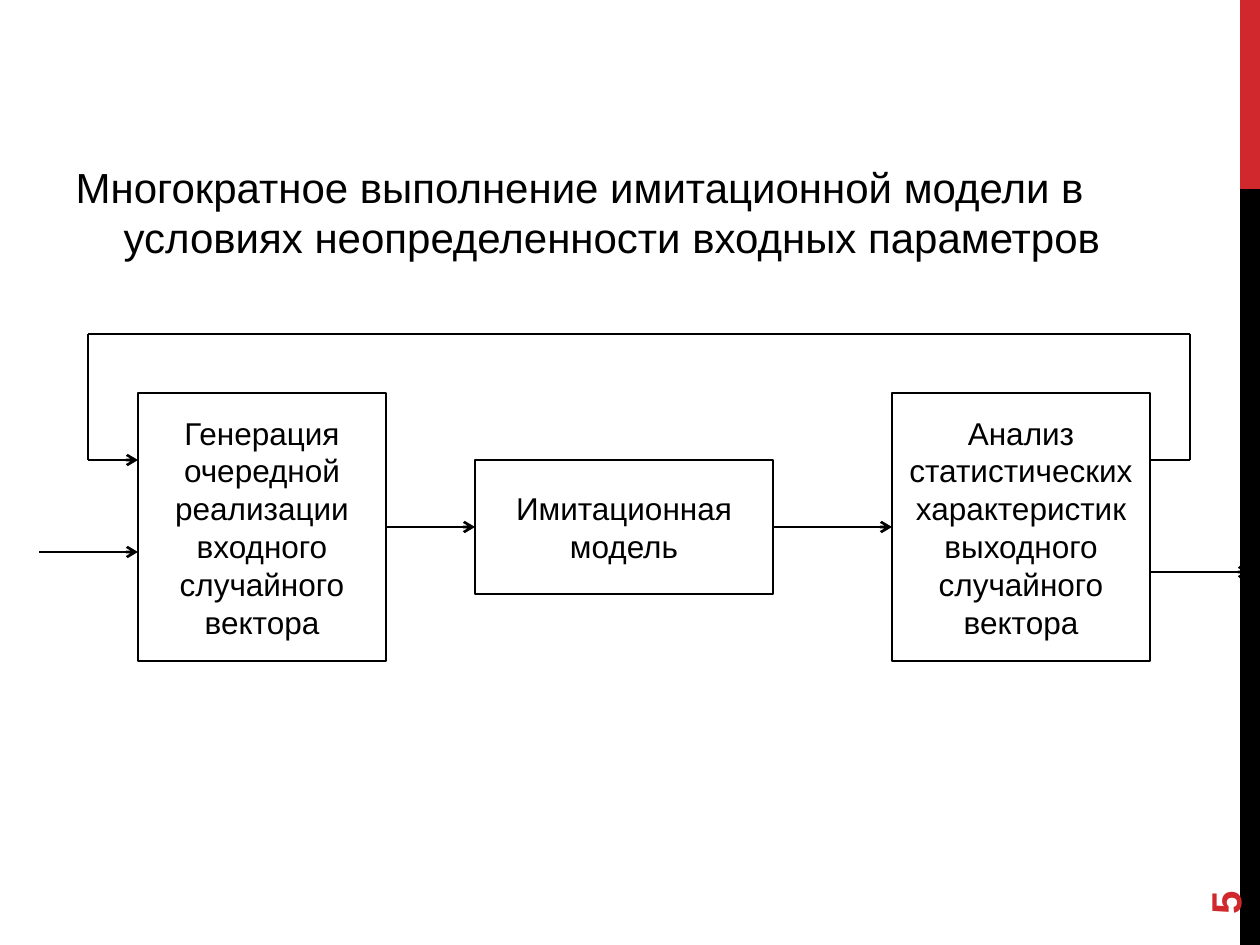
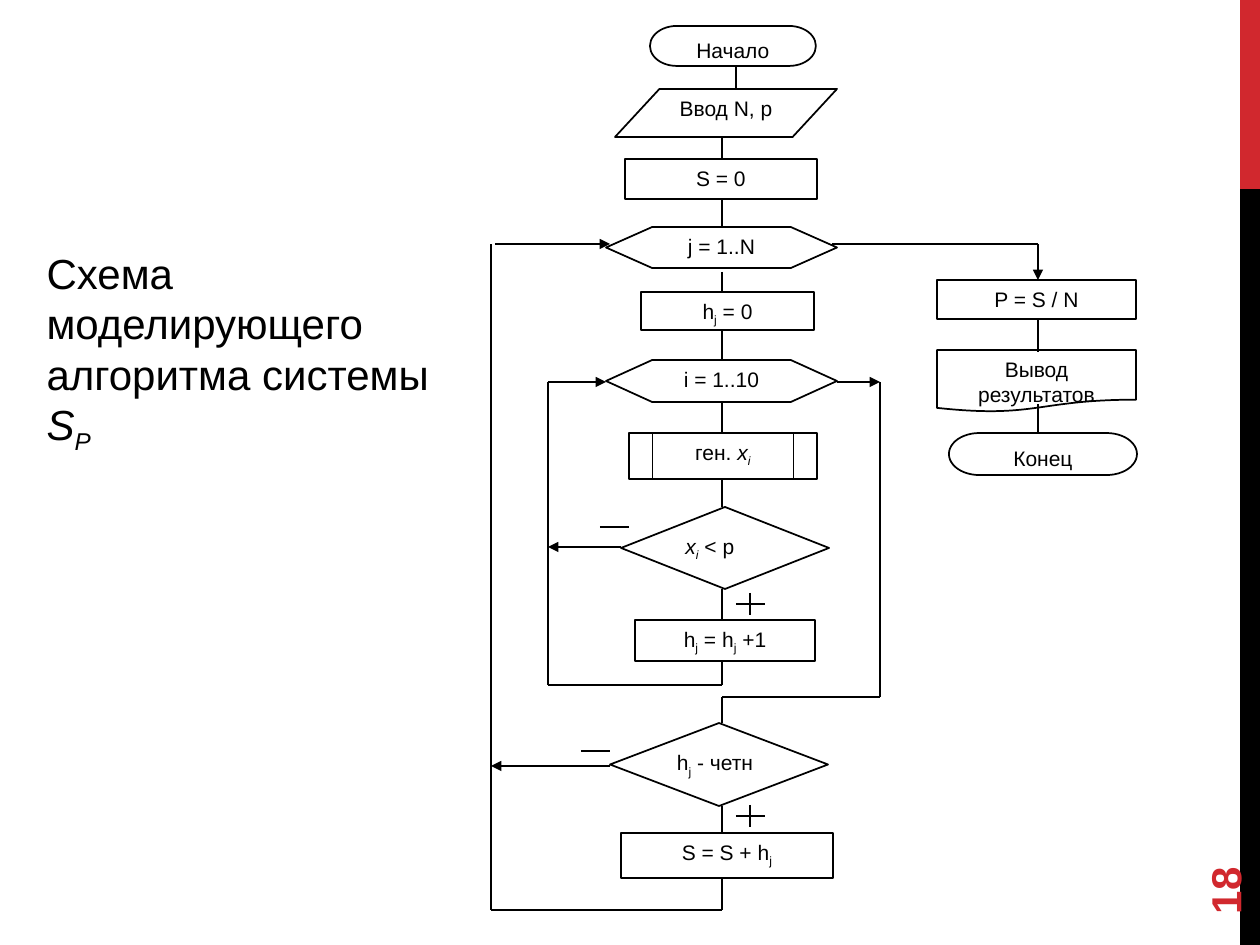
"""Build two slides on simulation modelling: a repeated-run scheme and a flowchart."""
from dataclasses import dataclass

from lxml.etree import SubElement
from pptx import Presentation
from pptx.dml.color import RGBColor
from pptx.enum.shapes import MSO_CONNECTOR, MSO_SHAPE
from pptx.enum.text import MSO_ANCHOR, MSO_AUTO_SIZE, PP_ALIGN
from pptx.oxml.ns import qn
from pptx.util import Emu, Pt


@dataclass(frozen=True)
class Theme:
    font: str = "Arial"
    ink: RGBColor = RGBColor(0x00, 0x00, 0x00)
    paper: RGBColor = RGBColor(0xFF, 0xFF, 0xFF)
    accent: RGBColor = RGBColor(0xD1, 0x28, 0x2E)
    title_size: int = 24
    scheme_size: int = 18
    flowchart_size: int = 12


theme = Theme()
EMU_PER_PX = 914400 / 126


def px(*lengths):
    return [Emu(round(length * EMU_PER_PX)) for length in lengths]


def write_runs(paragraph, runs, size, color=theme.ink, bold=False):
    for text, style in runs:
        run = paragraph.add_run()
        run.text = text
        run.font.name = theme.font
        run.font.size = Pt(size)
        run.font.color.rgb = color
        run.font.bold = bold
        run.font.italic = "italic" in style
        if "sub" in style:
            run._r.get_or_add_rPr().set("baseline", "-25000")


H_J = [("h", ""), ("j", "sub")]
X_I = [("x", "italic"), ("i", "italic sub")]
CENTER, LEFT = PP_ALIGN.CENTER, PP_ALIGN.LEFT
SPINE = 722
OUTPUT_AXIS = 1038

scheme = {
    "number": "5",
    "title": [[("Многократное выполнение имитационной модели в условиях "
                "неопределенности входных параметров", "")]],
    "title_at": (63, 155, 1113, 725),
    "title_anchor": MSO_ANCHOR.TOP,
    "title_indent": 48,
    "title_space": 4.8,
    "size": theme.scheme_size,
    "line_width": 1.5,
    "arrow": "arrow",
    "fill": None,
    "box_anchor": MSO_ANCHOR.MIDDLE,
    "boxes": [
        (MSO_SHAPE.RECTANGLE, (138, 393, 248, 268), CENTER,
         [("Генерация очередной реализации входного случайного вектора", "")]),
        (MSO_SHAPE.RECTANGLE, (475, 460, 298, 134), CENTER,
         [("Имитационная модель", "")]),
        (MSO_SHAPE.RECTANGLE, (892, 393, 258, 268), CENTER,
         [("Анализ статистических характеристик выходного случайного вектора", "")]),
    ],
    "arrows": [
        [(39, 552), (138, 552)],
        [(387, 527), (475, 527)],
        [(773, 527), (892, 527)],
        [(1150, 572), (1250, 572)],
        [(1150, 460), (1190, 460), (1190, 334), (88, 334), (88, 460), (138, 460)],
    ],
    "lines": [],
}

spine_gaps = [(137, 159), (199, 227), (272, 292), (330, 360), (402, 433),
              (479, 507), (589, 620), (806, 833)]
plus_signs = [(750, 604), (750, 816)]
minus_signs = [(600, 527), (581, 751)]

flowchart = {
    "number": "18",
    "title": [
        [("Схема моделирующего", "")],
        [("алгоритма системы ", ""), ("S", "italic"), ("P", "italic sub")],
    ],
    "title_at": (34, 243, 427, 217),
    "title_anchor": MSO_ANCHOR.MIDDLE,
    "title_indent": 0,
    "title_space": 0,
    "size": theme.flowchart_size,
    "line_width": 1,
    "arrow": "triangle",
    "fill": theme.paper,
    "box_anchor": MSO_ANCHOR.TOP,
    "boxes": [
        (MSO_SHAPE.FLOWCHART_TERMINATOR, (650, 26, 166, 40), CENTER, [("Начало", "")]),
        (MSO_SHAPE.FLOWCHART_DATA, (615, 89, 222, 48), CENTER, [("Ввод N, p", "")]),
        (MSO_SHAPE.RECTANGLE, (625, 159, 192, 40), CENTER, [("S = 0", "")]),
        (MSO_SHAPE.FLOWCHART_PREPARATION, (606, 227, 231, 41), CENTER, [("j = 1..N", "")]),
        (MSO_SHAPE.FLOWCHART_PROCESS, (641, 292, 173, 38), CENTER, [*H_J, (" = 0", "")]),
        (MSO_SHAPE.FLOWCHART_PREPARATION, (606, 360, 231, 42), CENTER, [("i = 1..10", "")]),
        (MSO_SHAPE.FLOWCHART_PREDEFINED_PROCESS, (629, 433, 188, 46), CENTER,
         [("ген. ", ""), *X_I]),
        (MSO_SHAPE.FLOWCHART_DECISION, (621, 507, 208, 82), LEFT, [*X_I, (" < p", "")]),
        (MSO_SHAPE.FLOWCHART_PROCESS, (635, 620, 180, 41), CENTER,
         [*H_J, (" = ", ""), *H_J, (" +1", "")]),
        (MSO_SHAPE.FLOWCHART_DECISION, (610, 723, 218, 83), LEFT, [*H_J, (" - четн", "")]),
        (MSO_SHAPE.FLOWCHART_PROCESS, (621, 833, 212, 45), CENTER, [("S = S + ", ""), *H_J]),
        (MSO_SHAPE.FLOWCHART_PROCESS, (937, 280, 199, 39), CENTER, [("P = S / N", "")]),
        (MSO_SHAPE.FLOWCHART_DOCUMENT, (937, 350, 199, 62), CENTER,
         [("Вывод результатов", "")]),
        (MSO_SHAPE.FLOWCHART_TERMINATOR, (949, 433, 188, 42), CENTER, [("Конец", "")]),
    ],
    "arrows": [
        [(SPINE, 661), (SPINE, 685), (548, 685), (548, 382), (606, 382)],
        [(621, 547), (548, 547)],
        [(837, 382), (880, 382)],
        [(495, 244), (610, 244)],
        [(610, 766), (491, 766)],
        [(832, 244), (OUTPUT_AXIS, 244), (OUTPUT_AXIS, 280)],
    ],
    "lines": [
        [(736, 66), (736, 89)],
        *[[(SPINE, top), (SPINE, bottom)] for top, bottom in spine_gaps],
        [(880, 382), (880, 697), (SPINE, 697), (SPINE, 723)],
        [(SPINE, 878), (SPINE, 910), (491, 910), (491, 244)],
        [(OUTPUT_AXIS, 319), (OUTPUT_AXIS, 352)],
        [(OUTPUT_AXIS, 404), (OUTPUT_AXIS, 433)],
        *[[(x - 14, y), (x + 15, y)] for x, y in plus_signs],
        *[[(x, y - 11), (x, y + 11)] for x, y in plus_signs],
        *[[(x, y), (x + 29, y)] for x, y in minus_signs],
    ],
}

presentation = Presentation()
presentation.slide_width, presentation.slide_height = px(1260, 945)
title_only = presentation.slide_layouts[5]

for diagram in (scheme, flowchart):
    slide = presentation.slides.add_slide(title_only)

    if diagram is scheme:
        for top, height, color in ((0, 189, theme.accent), (189, 756, theme.ink)):
            band = slide.shapes.add_shape(MSO_SHAPE.RECTANGLE, *px(1240, top, 20, height))
            band.shadow.inherit = False
            band.fill.solid()
            band.fill.fore_color.rgb = color
            band.line.fill.background()
            title_only.shapes.element.insert(2, band.element)

    title = slide.shapes.title
    title.left, title.top, title.width, title.height = px(*diagram["title_at"])
    frame = title.text_frame
    frame.word_wrap = True
    frame.auto_size = MSO_AUTO_SIZE.NONE
    frame.vertical_anchor = diagram["title_anchor"]
    frame.text = "\n" * (len(diagram["title"]) - 1)
    indent, = px(diagram["title_indent"])
    for paragraph, runs in zip(frame.paragraphs, diagram["title"]):
        paragraph.alignment = LEFT
        paragraph.space_before = Pt(diagram["title_space"])
        properties = paragraph._p.get_or_add_pPr()
        properties.set("marL", str(indent))
        properties.set("indent", str(-indent))
        write_runs(paragraph, runs, theme.title_size)

    number = slide.shapes.add_textbox(*px(1134, 811, 181, 50))
    number.rotation = 270
    number.text_frame.word_wrap = True
    number.text_frame.vertical_anchor = MSO_ANCHOR.MIDDLE
    write_runs(number.text_frame.paragraphs[0], [(diagram["number"], "")],
               theme.title_size, theme.accent, bold=True)

    for preset, position, alignment, runs in diagram["boxes"]:
        shape = slide.shapes.add_shape(preset, *px(*position))
        shape.shadow.inherit = False
        if diagram["fill"] is None:
            shape.fill.background()
        else:
            shape.fill.solid()
            shape.fill.fore_color.rgb = diagram["fill"]
        shape.line.color.rgb = theme.ink
        shape.line.width = Pt(diagram["line_width"])
        shape.text_frame.word_wrap = True
        shape.text_frame.vertical_anchor = diagram["box_anchor"]
        paragraph = shape.text_frame.paragraphs[0]
        paragraph.alignment = alignment
        write_runs(paragraph, runs, diagram["size"])

    for route in diagram["arrows"] + diagram["lines"]:
        for start, end in zip(route, route[1:]):
            connector = slide.shapes.add_connector(MSO_CONNECTOR.STRAIGHT, *px(*start, *end))
            connector.line.color.rgb = theme.ink
            connector.line.width = Pt(diagram["line_width"])
            properties = connector.element.spPr
            if route in diagram["arrows"] and end == route[-1]:
                line = properties.find(qn("a:ln"))
                SubElement(line, qn("a:tailEnd")).set("type", diagram["arrow"])
            SubElement(properties, qn("a:effectLst"))

presentation.save("out.pptx")
